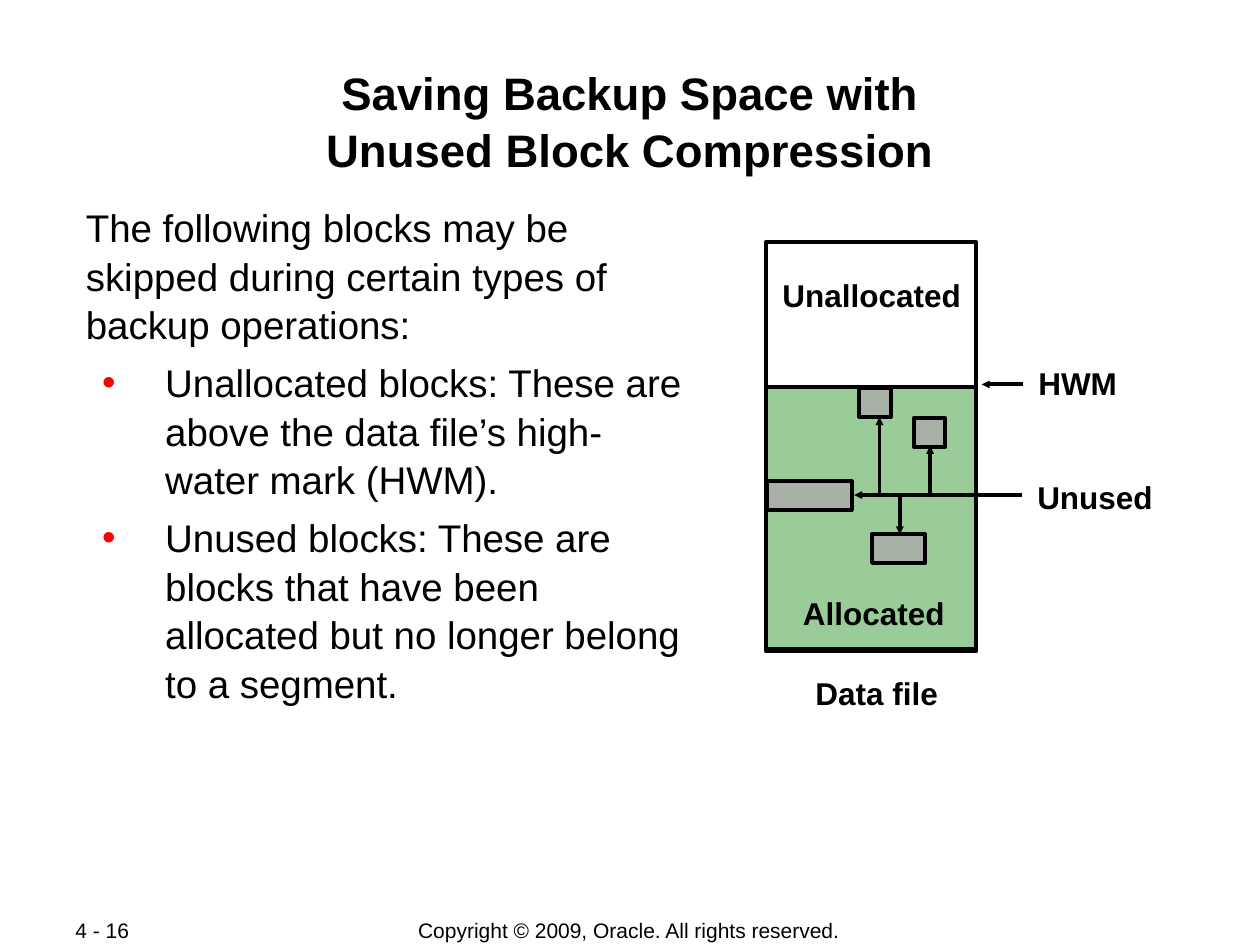
"""Build a slide on saving backup space with unused block compression."""
from lxml.etree import SubElement
from pptx import Presentation
from pptx.dml.color import RGBColor
from pptx.enum.shapes import MSO_CONNECTOR, MSO_SHAPE
from pptx.enum.text import MSO_ANCHOR, MSO_AUTO_SIZE, PP_ALIGN
from pptx.oxml.ns import qn
from pptx.util import Cm, Pt

BLACK = RGBColor(0x00, 0x00, 0x00)
WHITE = RGBColor(0xFF, 0xFF, 0xFF)
RED = RGBColor(0xFF, 0x00, 0x00)
GREEN = RGBColor(0x99, 0xCC, 0x99)
GRAY = RGBColor(0xA7, 0xB1, 0xA5)

TITLE = "Saving Backup Space with\vUnused Block Compression"
INTRO = "The following blocks may be skipped during certain types of backup operations:"
BULLETS = [
    "Unallocated blocks: These are above the data file’s high-water mark (HWM).",
    "Unused blocks: These are blocks that have been allocated but no longer belong to a segment.",
]
FOOTERS = [
    ("Copyright © 2009, Oracle. All rights reserved.", (6.98, 18.49, 11.4, 0.53), PP_ALIGN.CENTER),
    ("4 - 16", (1.27, 18.49, 2.69, 0.51), PP_ALIGN.LEFT),
]
BOXES = [
    ((15.44, 4.88, 4.24, 8.25), None),
    ((15.44, 7.8, 4.24, 5.28), GREEN),
    ((15.47, 9.7, 1.7, 0.58), GRAY),
    ((17.58, 10.77, 1.07, 0.58), GRAY),
    ((17.32, 7.82, 0.64, 0.58), GRAY),
    ((18.42, 8.43, 0.64, 0.58), GRAY),
]
LABELS = [
    ("HWM", (20.8, 7.21, 1.85, 1.02), None, MSO_ANCHOR.MIDDLE),
    ("Unallocated", (15.77, 5.44, 3.61, 1.27), WHITE, MSO_ANCHOR.TOP),
    ("Allocated", (16.08, 11.84, 3.07, 0.99), GREEN, MSO_ANCHOR.TOP),
    ("Unused", (20.78, 9.5, 2.59, 1.02), None, MSO_ANCHOR.MIDDLE),
    ("Data file", (15.67, 13.11, 4.01, 1.7), None, MSO_ANCHOR.MIDDLE),
]
HWM_Y, TRUNK_Y = 7.75, 9.98
ARROWS = [(20.62, HWM_Y, 19.79, HWM_Y), (20.6, TRUNK_Y, 17.22, TRUNK_Y)] + [
    (x, TRUNK_Y, x, y) for x, y in [(18.14, 10.77), (18.75, 8.99), (17.73, 8.41)]
]


def lengths(values):
    return [Cm(v) for v in values]


def write(p, text, size=18, bold=False, align=PP_ALIGN.LEFT, before=0, spacing=1.0):
    p.text = text
    p.alignment = align
    p.space_before = Pt(before)
    p.line_spacing = spacing
    for r in p.runs:
        r.font.name = "Arial"
        r.font.size = Pt(size)
        r.font.bold = bold
        r.font.color.rgb = BLACK


def set_frame(tf, inset, anchor, wrap=True):
    tf.auto_size = MSO_AUTO_SIZE.NONE
    tf.word_wrap = wrap
    tf.vertical_anchor = anchor
    tf.margin_left = tf.margin_right = tf.margin_top = tf.margin_bottom = Cm(inset)


def place(sp, at):
    sp.left, sp.top, sp.width, sp.height = lengths(at)


def set_bullet(p, char=None):
    pPr = p._p.get_or_add_pPr()
    pPr.set("marL", str(Cm(1.6) if char else 0))
    pPr.set("indent", str(-Cm(1.27) if char else 0))
    if char:
        color = SubElement(pPr, qn("a:buClr"))
        SubElement(color, qn("a:srgbClr")).set("val", str(RED))
        SubElement(pPr, qn("a:buFont")).set("typeface", "Arial")
        SubElement(pPr, qn("a:buChar")).set("char", char)
    else:
        SubElement(pPr, qn("a:buNone"))


def add_box(s, at, fill):
    sp = s.shapes.add_shape(MSO_SHAPE.RECTANGLE, *lengths(at))
    sp.shadow.inherit = False
    if fill is None:
        sp.fill.background()
    else:
        sp.fill.solid()
        sp.fill.fore_color.rgb = fill
    sp.line.color.rgb = BLACK
    sp.line.width = Pt(2.25)


def add_label(s, text, at, fill=None, anchor=MSO_ANCHOR.MIDDLE, inset=0.13, **fmt):
    sp = s.shapes.add_textbox(*lengths(at))
    if fill is not None:
        sp.fill.solid()
        sp.fill.fore_color.rgb = fill
    set_frame(sp.text_frame, inset, anchor, wrap=fmt.get("align") == PP_ALIGN.LEFT)
    write(sp.text_frame.paragraphs[0], text, **fmt)


def add_arrow(s, ends):
    c = s.shapes.add_connector(MSO_CONNECTOR.STRAIGHT, *lengths(ends))
    c.line.color.rgb = BLACK
    c.line.width = Pt(2.25)
    tail = SubElement(c.line._get_or_add_ln(), qn("a:tailEnd"))
    for key, value in (("type", "triangle"), ("w", "sm"), ("len", "sm")):
        tail.set(key, value)
    SubElement(c._element.spPr, qn("a:effectLst"))


def main():
    prs = Presentation()
    prs.slide_width, prs.slide_height = Cm(25.4), Cm(19.05)
    s = prs.slides.add_slide(prs.slide_layouts[1])

    title, body = s.shapes.title, s.placeholders[1]
    place(title, (1.7, 1.22, 22, 2.44))
    set_frame(title.text_frame, 0.03, MSO_ANCHOR.TOP)
    write(title.text_frame.paragraphs[0], TITLE, size=26, bold=True,
          align=PP_ALIGN.CENTER, spacing=1.05)

    place(body, (1.7, 4.04, 12.27, 9.78))
    tf = body.text_frame
    set_frame(tf, 0.03, MSO_ANCHOR.TOP)
    set_bullet(tf.paragraphs[0])
    write(tf.paragraphs[0], INTRO, size=22, spacing=1.05)
    for text in BULLETS:
        p = tf.add_paragraph()
        p.level = 1
        set_bullet(p, "•")
        write(p, text, size=22, before=5.5, spacing=1.05)

    for text, at, align in FOOTERS:
        add_label(s, text, at, inset=0.25, size=12, align=align)
    for at, fill in BOXES:
        add_box(s, at, fill)
    for text, at, fill, anchor in LABELS:
        add_label(s, text, at, fill, anchor, bold=True, align=PP_ALIGN.CENTER)
    for ends in ARROWS:
        add_arrow(s, ends)
    prs.save("out.pptx")


if __name__ == "__main__":
    main()
